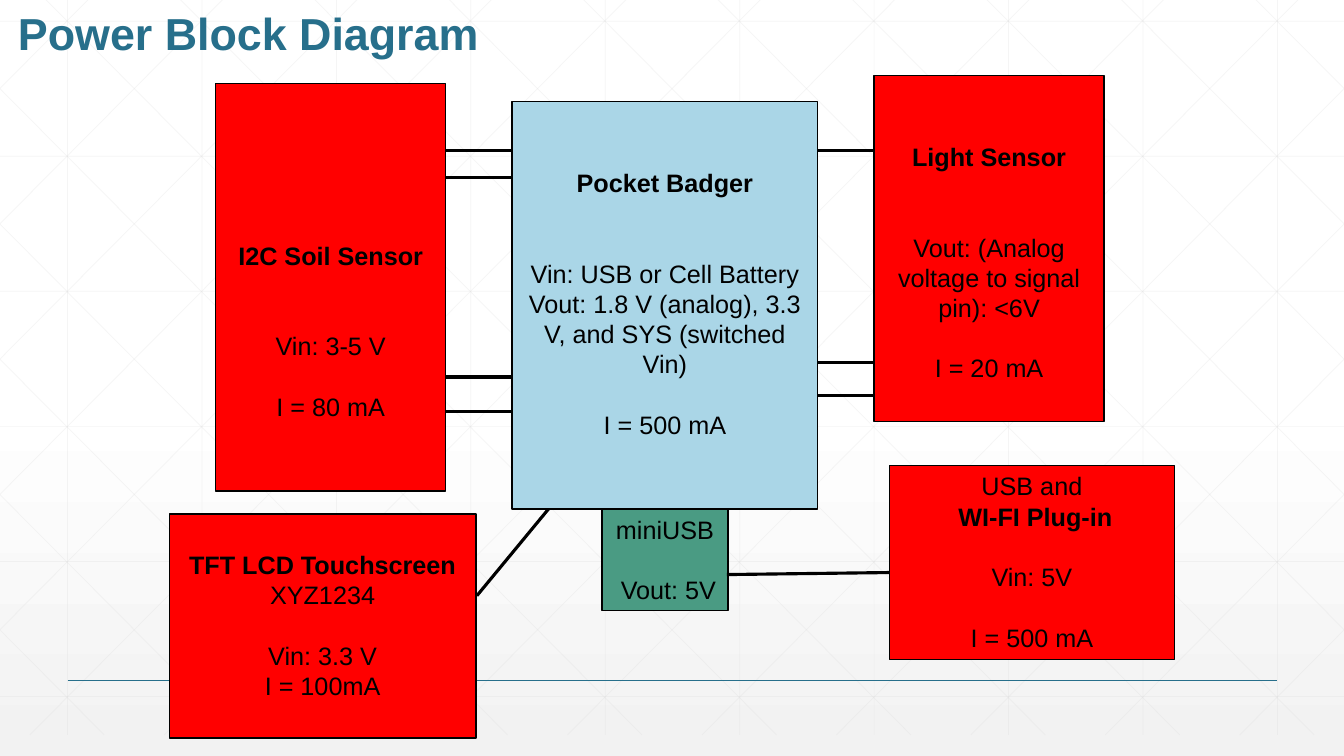
from pptx import Presentation
from pptx.enum import shapes, text
from pptx.dml.color import RGBColor
from pptx.oxml.ns import qn
from pptx.util import Inches, Pt
from lxml import etree

COLORS = {
    "title": "276F8B", "grid": "D9D9D9", "black": "000000", "white": "FFFFFF",
    "gray": "F2F2F2", "board": "AAD6E7", "module": "FF0000", "usb": "4A9B83",
}
WIDTH, HEIGHT = 13.33, 7.5
GRID_TOP, GRID_BOTTOM = -0.21, 7.29
STEP = 4 / 3
LINE_HEIGHT = 0.3  # one line of 18 pt text, in inches


def add_line(start, end, color, weight, opacity=None):
    """Draw a straight line; opacity is a percentage."""
    line = slide.shapes.add_connector(
        shapes.MSO_CONNECTOR.STRAIGHT, *[Inches(value) for value in (*start, *end)])
    line.line.color.rgb = RGBColor.from_string(COLORS[color])
    line.line.width = Pt(weight)
    properties = line._element.spPr
    etree.SubElement(properties, qn("a:effectLst"))
    if opacity:
        color_node = properties.find(".//" + qn("a:srgbClr"))
        etree.SubElement(color_node, qn("a:alpha"), val=str(opacity * 1000))


def set_font(paragraph, size, color, bold):
    paragraph.font.name = "Arial"
    paragraph.font.size = Pt(size)
    paragraph.font.bold = bold
    paragraph.font.color.rgb = RGBColor.from_string(COLORS[color])


presentation = Presentation()
presentation.slide_width = Inches(WIDTH)
presentation.slide_height = Inches(HEIGHT)
slide = presentation.slides.add_slide(presentation.slide_layouts[6])

# Background gradient
background = slide.background.fill
background.gradient()
background.gradient_angle = 270
for stop, (position, color) in zip(background.gradient_stops, [(0.53, "white"), (1, "gray")]):
    stop.position = position
    stop.color.rgb = RGBColor.from_string(COLORS[color])

# Faint grid: verticals, horizontals, then both diagonals clipped to the slide
for column in range(10):
    x = 0.67 + column * STEP
    add_line((x, GRID_TOP), (x, GRID_BOTTOM), "grid", 0.5, 25)
for row in range(6):
    y = 0.21 + row * 1.34
    add_line((0, y), (WIDTH, y), "grid", 0.5, 25)
run = 7.45
slope = (GRID_BOTTOM - GRID_TOP) / run
for index in range(-5, 10):
    origin = 0.25 + index * STEP
    left, right = max(origin, 0), min(origin + run, WIDTH)
    top, bottom = [GRID_TOP + (x - origin) * slope for x in (left, right)]
    add_line((left, top), (right, bottom), "grid", 0.5, 25)
    add_line((WIDTH - left, top), (WIDTH - right, bottom), "grid", 0.5, 25)
add_line((0.67, 6.75), (12.67, 6.75), "title", 1)

# Title
title = slide.shapes.add_textbox(Inches(0.08), Inches(-0.35), Inches(12), Inches(1))
title.text_frame.word_wrap = True
title.text_frame.vertical_anchor = text.MSO_ANCHOR.BOTTOM
heading = title.text_frame.paragraphs[0]
heading.text = "Power Block Diagram"
heading.line_spacing = 0.9
set_font(heading, 32, "title", True)

# Blocks: position, fill, then (empty lines above, text, bold)
blocks = [
    ((5.08, 1.01, 3.03, 4.04), "board", [
        (2, "Pocket Badger", True),
        (2, "Vin: USB or Cell Battery", False),
        (0, "Vout: 1.8 V (analog), 3.3 V, and SYS (switched Vin)", False),
        (1, "I = 500 mA", False)]),
    ((8.82, 4.62, 2.83, 1.92), "module", [
        (0, "USB and", False),
        (0, " WI-FI Plug-in", True),
        (1, "Vin: 5V", False),
        (1, "I = 500 mA", False)]),
    ((2.14, 0.83, 2.28, 4.04), "module", [
        (5, "I2C Soil Sensor", True),
        (2, "Vin: 3-5 V", False),
        (1, "I = 80 mA", False)]),
    ((8.67, 0.75, 2.28, 3.43), "module", [
        (2, "Light Sensor", True),
        (2, "Vout: (Analog voltage to signal pin): <6V", False),
        (1, "I = 20 mA", False)]),
    ((5.97, 5.05, 1.25, 1.01), "usb", [
        (0, "miniUSB", False),
        (1, " Vout: 5V", False)]),
    ((1.68, 5.1, 3.04, 2.22), "module", [
        (1, "TFT LCD Touchscreen", True),
        (0, "XYZ1234", False),
        (1, "Vin: 3.3 V", False),
        (0, "I = 100mA", False)]),
]
for box, fill, lines in blocks:
    block = slide.shapes.add_shape(
        shapes.MSO_SHAPE.RECTANGLE, *[Inches(value) for value in box])
    block.shadow.inherit = False
    block.fill.solid()
    block.fill.fore_color.rgb = RGBColor.from_string(COLORS[fill])
    block.line.color.rgb = RGBColor.from_string(COLORS["black"])
    block.line.width = Pt(1)
    frame = block.text_frame
    frame.word_wrap = True
    frame.vertical_anchor = text.MSO_ANCHOR.TOP
    frame.margin_top = Inches(0.05 + lines[0][0] * LINE_HEIGHT)
    for number, (gap, words, bold) in enumerate(lines):
        paragraph = frame.add_paragraph() if number else frame.paragraphs[0]
        paragraph.text = words
        paragraph.alignment = text.PP_ALIGN.CENTER
        if number:
            paragraph.space_before = Inches(gap * LINE_HEIGHT)
        set_font(paragraph, 18, "black", bold)

# Wires: level ones between the board and the sensors, then the sloped ones
for left, right, heights in [(4.42, 5.08, (1.49, 1.76, 3.74, 4.08)),
                             (8.1, 8.67, (1.49, 3.6, 3.92))]:
    for y in heights:
        add_line((right, y), (left, y), "black", 2.25)
add_line((8.82, 5.68), (7.21, 5.7), "black", 2.25)
add_line((5.44, 5.05), (4.73, 5.91), "black", 2.25)

presentation.save("out.pptx")
